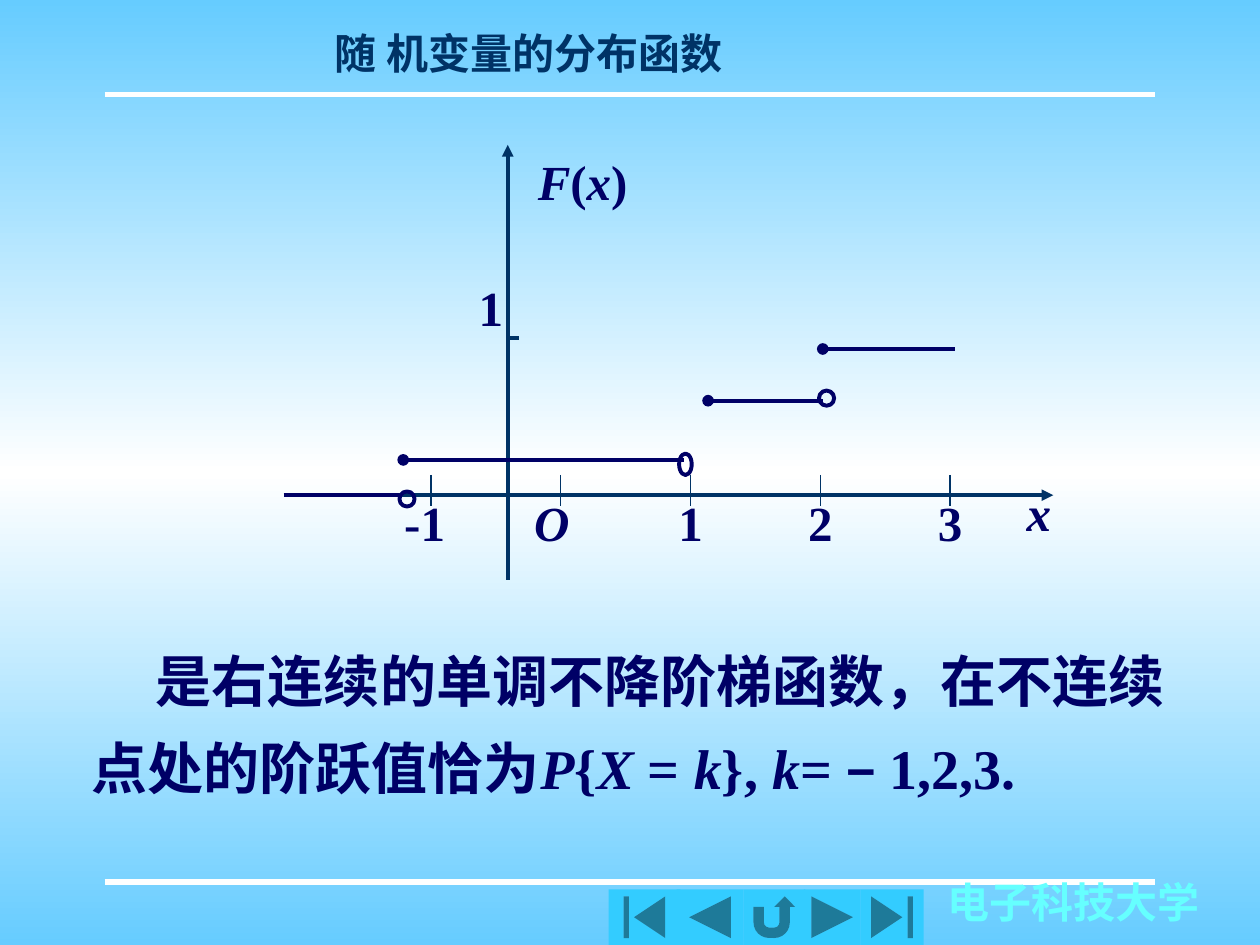
from copy import deepcopy
from dataclasses import dataclass

from lxml.etree import SubElement
from pptx import Presentation
from pptx.dml.color import RGBColor
from pptx.enum.shapes import MSO_CONNECTOR, MSO_SHAPE
from pptx.enum.text import MSO_ANCHOR, MSO_AUTO_SIZE, PP_ALIGN
from pptx.oxml.ns import qn
from pptx.util import Inches, Pt


@dataclass(frozen=True)
class Theme:
    face: str = "Times New Roman"
    sign: str = "Arial"
    sky: RGBColor = RGBColor(0x66, 0xCC, 0xFF)
    white: RGBColor = RGBColor(0xFF, 0xFF, 0xFF)
    axis: RGBColor = RGBColor(0x00, 0x33, 0x66)
    ink: RGBColor = RGBColor(0x00, 0x00, 0x66)
    aqua: RGBColor = RGBColor(0x66, 0xFF, 0xFF)
    key: RGBColor = RGBColor(0x33, 0xCC, 0xFF)
    head: int = 24
    label: int = 28
    body: int = 32
    minus: int = 29


THEME = Theme()


def paint(slide):
    """Sky to white to sky, from top to bottom."""
    fill = slide.background.fill
    fill.gradient()
    fill.gradient_angle = 270
    stops = slide.element.find(".//" + qn("a:gsLst"))
    stops.append(deepcopy(stops[0]))
    shades = [(0, THEME.sky), (0.5, THEME.white), (1, THEME.sky)]
    for stop, (place, shade) in zip(fill.gradient_stops, shades):
        stop.position = place
        stop.color.rgb = shade


def draw(slide, x1, y1, x2, y2, color, width=2.25, head=None, tail=None):
    """Straight line with optional end marks."""
    line = slide.shapes.add_connector(
        MSO_CONNECTOR.STRAIGHT, Inches(x1), Inches(y1), Inches(x2), Inches(y2))
    line.line.color.rgb = color
    line.line.width = Pt(width)
    props = line._element.spPr
    for tag, mark in (("a:headEnd", head), ("a:tailEnd", tail)):
        if mark:
            SubElement(props.find(qn("a:ln")), qn(tag), type=mark)
    SubElement(props, qn("a:effectLst"))


def style(para, size, color, align=PP_ALIGN.LEFT):
    para.alignment = align
    font = para.font
    font.name = THEME.face
    font.size = Pt(size)
    font.bold = True
    font.color.rgb = color


def write(slide, x, y, w, h, runs, size=THEME.label, color=THEME.ink,
          align=PP_ALIGN.LEFT, wrap=True):
    """Text box; runs are (text, italic) pairs. Returns its paragraph."""
    frame = slide.shapes.add_textbox(
        Inches(x), Inches(y), Inches(w), Inches(h)).text_frame
    frame.word_wrap = wrap
    para = frame.paragraphs[0]
    style(para, size, color, align)
    for text, slant in runs:
        run = para.add_run()
        run.text = text
        if slant:
            run.font.italic = True
    return para


def ring(slide, x, y, w, h):
    """Open end of a step."""
    oval = slide.shapes.add_shape(
        MSO_SHAPE.OVAL, Inches(x), Inches(y), Inches(w), Inches(h))
    oval.shadow.inherit = False
    oval.fill.background()
    oval.line.color.rgb = THEME.ink
    oval.line.width = Pt(2.25)


def frame(slide):
    """Title, rules and school name."""
    for y in (0.75, 7):
        draw(slide, 0.83, y, 9.17, y, THEME.white, 3)
    title = slide.shapes.title
    title.left, title.top = Inches(2), Inches(0.17)
    title.width, title.height = Inches(4.39), Inches(0.5)
    title.text_frame.auto_size = MSO_AUTO_SIZE.NONE
    title.text_frame.vertical_anchor = MSO_ANCHOR.TOP
    title.text_frame.text = "随 机变量的分布函数"
    style(title.text_frame.paragraphs[0], THEME.head, THEME.axis,
          PP_ALIGN.CENTER)
    school = write(slide, 7.42, 7.02, 2.2, 0.38, [("电子科技大学", False)],
                   THEME.head, THEME.aqua, wrap=False)
    school.line_spacing = 0.7


def keys(slide):
    """Row of navigation buttons."""
    row = [
        (MSO_SHAPE.ACTION_BUTTON_BEGINNING, 4.83, 0.57),
        (MSO_SHAPE.ACTION_BUTTON_BACK_OR_PREVIOUS, 5.37, 0.53),
        (MSO_SHAPE.ACTION_BUTTON_RETURN, 5.9, 0.49),
        (MSO_SHAPE.ACTION_BUTTON_FORWARD_OR_NEXT, 6.38, 0.45),
        (MSO_SHAPE.ACTION_BUTTON_END, 6.83, 0.5),
    ]
    for kind, x, w in row:
        key = slide.shapes.add_shape(
            kind, Inches(x), Inches(7.06), Inches(w), Inches(0.44))
        key.shadow.inherit = False
        key.fill.solid()
        key.fill.fore_color.rgb = THEME.key
        key.line.fill.background()


def axes(slide):
    # Horizontal axis with evenly spaced ticks
    draw(slide, 2.28, 3.93, 8.36, 3.93, THEME.axis, tail="triangle")
    write(slide, 8.05, 3.78, 0.62, 0.57, [("x", True)])
    for i, text in enumerate(["-1", "O", "1", "2", "3"]):
        x = 3.42 + 1.03 * i
        draw(slide, x, 3.77, x, 4.02, THEME.axis, 0.75)
        write(slide, x - 0.31, 3.86, 0.62, 0.57, [(text, text == "O")],
              align=PP_ALIGN.LEFT if i < 2 else PP_ALIGN.CENTER)
    # Vertical axis
    draw(slide, 4.03, 2.68, 4.12, 2.68, THEME.axis)
    draw(slide, 4.03, 1.15, 4.03, 4.6, THEME.axis, head="triangle")
    write(slide, 4.17, 1.15, 1, 0.57,
          [("F", True), ("(", False), ("x", True), (")", False)])
    write(slide, 3.7, 2.15, 0.42, 0.57, [("1", False)])


def steps(slide):
    """Levels of the function: closed on the left, open on the right."""
    levels = [(2.25, 3.17, 3.93, None), (3.2, 5.43, 3.65, "oval"),
              (5.62, 6.53, 3.18, "oval"), (6.53, 7.58, 2.77, "oval")]
    for x1, x2, y, dot in levels:
        draw(slide, x1, y, x2, y, THEME.ink, head=dot)
    ring(slide, 3.17, 3.9, 0.12, 0.12)
    ring(slide, 5.39, 3.6, 0.1, 0.17)
    ring(slide, 6.5, 3.1, 0.12, 0.12)


def note(slide):
    """Closing remark with an indented first line."""
    runs = [
        ("是右连续的单调不降阶梯函数，在不连续点处的阶跃值恰为", False),
        ("P", True), ("{", False), ("X ", True), ("= ", False),
        ("k", True), ("}, ", False), ("k", True), ("= ", False),
        ("−", False), (" 1,2,3.", False),
    ]
    para = write(slide, 0.63, 4.92, 9.03, 1.49, runs, THEME.body)
    para.line_spacing = 1.3
    para._p.get_or_add_pPr().set("indent", str(Inches(0.51)))
    minus = para.runs[-2].font
    minus.name = THEME.sign
    minus.size = Pt(THEME.minus)


def main():
    deck = Presentation()
    deck.slide_width, deck.slide_height = Inches(10), Inches(7.5)
    slide = deck.slides.add_slide(deck.slide_layouts[5])
    paint(slide)
    frame(slide)
    keys(slide)
    axes(slide)
    steps(slide)
    note(slide)
    deck.save("out.pptx")


if __name__ == "__main__":
    main()
